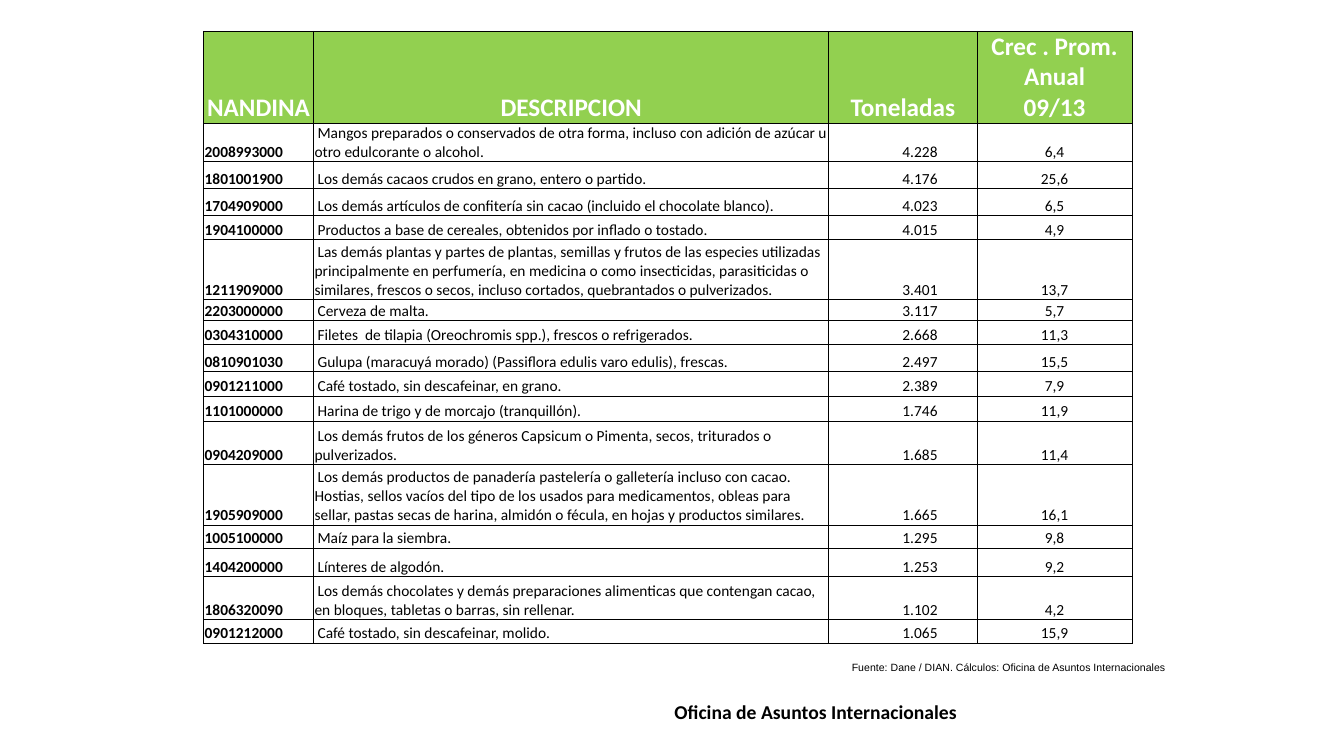
from pptx import Presentation
from pptx.dml.color import RGBColor
from pptx.enum import text
from pptx.oxml import parse_xml
from pptx.oxml import ns
from pptx.util import Inches, Pt

HEX = {"black": "000000", "white": "FFFFFF", "green": "92D050"}
LEFT, CENTER, RIGHT = text.PP_ALIGN.LEFT, text.PP_ALIGN.CENTER, text.PP_ALIGN.RIGHT
COLS = [1.09, 5.11, 1.47, 1.54]
GAP, HEAD = 0.18, 0.91
HEADS = ["NANDINA", "DESCRIPCION", "Toneladas", "Crec . Prom. Anual\n09/13"]
# row height, code, description, tonnes, growth
GOODS = [
    (0.38, "2008993000", "Mangos preparados o conservados de otra forma, incluso con adición "
     "de azúcar u otro edulcorante o alcohol.", "4.228", "6,4"),
    (0.27, "1801001900", "Los demás cacaos crudos en grano, entero o partido.", "4.176", "25,6"),
    (0.27, "1704909000", "Los demás artículos de confitería sin cacao (incluido el chocolate "
     "blanco).", "4.023", "6,5"),
    (0.24, "1904100000", "Productos a base de cereales, obtenidos por inflado o tostado.",
     "4.015", "4,9"),
    (0.59, "1211909000", "Las demás plantas y partes de plantas, semillas y frutos de las "
     "especies utilizadas principalmente en perfumería, en medicina o como insecticidas, "
     "parasiticidas o similares, frescos o secos, incluso cortados, quebrantados o "
     "pulverizados.", "3.401", "13,7"),
    (0.21, "2203000000", "Cerveza de malta.", "3.117", "5,7"),
    (0.24, "0304310000", "Filetes  de tilapia (Oreochromis spp.), frescos o refrigerados.",
     "2.668", "11,3"),
    (0.27, "0810901030", "Gulupa (maracuyá morado) (Passiflora edulis varo edulis), frescas.",
     "2.497", "15,5"),
    (0.24, "0901211000", "Café tostado, sin descafeinar, en grano.", "2.389", "7,9"),
    (0.25, "1101000000", "Harina de trigo y de morcajo (tranquillón).", "1.746", "11,9"),
    (0.43, "0904209000", "Los demás frutos de los géneros Capsicum o Pimenta, secos, "
     "triturados o pulverizados.", "1.685", "11,4"),
    (0.6, "1905909000", "Los demás productos de panadería pastelería o galletería incluso con "
     "cacao. Hostias, sellos vacíos del tipo de los usados para medicamentos, obleas para "
     "sellar, pastas secas de harina, almidón o fécula, en hojas y productos similares.",
     "1.665", "16,1"),
    (0.23, "1005100000", "Maíz para la siembra.", "1.295", "9,8"),
    (0.28, "1404200000", "Línteres de algodón.", "1.253", "9,2"),
    (0.43, "1806320090", "Los demás chocolates y demás preparaciones alimenticas que contengan "
     "cacao, en bloques, tabletas o barras, sin rellenar.", "1.102", "4,2"),
    (0.23, "0901212000", "Café tostado, sin descafeinar, molido.", "1.065", "15,9"),
]


def style(frame, color="black", align=LEFT, **form):
    for par in frame.paragraphs:
        par.alignment = align
        for run in par.runs:
            run.font.color.rgb = RGBColor.from_string(HEX[color])
            for key, value in form.items():
                setattr(run.font, key, value)


def border(cell, shown="LRTB"):
    """Draw the named sides in black and hide the others."""
    for side in "LRTB":
        fill = (f'<a:solidFill><a:srgbClr val="{HEX["black"]}"/></a:solidFill>'
                if side in shown else "<a:noFill/>")
        cell._tc.get_or_add_tcPr().append(parse_xml(
            f'<a:ln{side} {ns.nsdecls("a")} w="{Pt(0.5)}">{fill}</a:ln{side}>'))


def inset(cell, left=0.01, right=0.01, top=0.01):
    sides = {"margin_left": left, "margin_right": right, "margin_top": top, "margin_bottom": 0}
    for key, value in sides.items():
        setattr(cell, key, Inches(value))
    cell.vertical_anchor = text.MSO_ANCHOR.BOTTOM


def add_head(cell, words):
    cell.text = words
    inset(cell, 0, 0, 0)
    border(cell)
    cell.fill.solid()
    cell.fill.fore_color.rgb = RGBColor.from_string(HEX["green"])
    style(cell.text_frame, "white", CENTER, name="Calibri", size=Pt(18), bold=True)


def add_cell(cell, words, align=LEFT, bold=False, right=0.01):
    cell.text = words
    inset(cell, right=right)
    border(cell)
    cell.fill.background()
    style(cell.text_frame, align=align, name="Calibri", size=Pt(11), bold=bold)


def add_gap(grid):
    """Merge the empty top row into one low cell."""
    for cell in grid.rows[0].cells:
        inset(cell, 0, 0, 0)
        border(cell, "B")
        cell.fill.background()
        cell.text_frame.paragraphs[0]._p.get_or_add_endParaRPr().set("sz", "800")
    grid.cell(0, 0).merge(grid.cell(0, len(COLS) - 1))


def add_goods(slide):
    highs = [GAP, HEAD] + [good[0] for good in GOODS]
    grid = slide.shapes.add_table(len(highs), len(COLS), Inches(2.02), Inches(0.13),
                                  Inches(sum(COLS)), Inches(sum(highs))).table
    grid.first_row = grid.horz_banding = False
    for col, wide in zip(grid.columns, COLS):
        col.width = Inches(wide)
    for row, high in zip(grid.rows, highs):
        row.height = Inches(high)
    add_gap(grid)
    for col, words in enumerate(HEADS):
        add_head(grid.cell(1, col), words)
    for row, (_, code, label, tons, growth) in enumerate(GOODS, 2):
        add_cell(grid.cell(row, 0), code, bold=True)
        add_cell(grid.cell(row, 1), label)
        first = grid.cell(row, 1).text_frame.paragraphs[0]
        first._p.get_or_add_pPr().set("indent", str(Inches(0.03)))
        add_cell(grid.cell(row, 2), tons, RIGHT, right=0.39)
        add_cell(grid.cell(row, 3), growth, CENTER)


def add_note(slide, words, spot, wrap, **form):
    frame = slide.shapes.add_textbox(*map(Inches, spot)).text_frame
    frame.text = words
    frame.word_wrap = wrap
    frame.auto_size = text.MSO_AUTO_SIZE.SHAPE_TO_FIT_TEXT
    style(frame, **form)


def main():
    deck = Presentation()
    deck.slide_width, deck.slide_height = Inches(13.33), Inches(7.5)
    slide = deck.slides.add_slide(deck.slide_layouts[6])
    add_note(slide, "Fuente: Dane / DIAN. Cálculos: Oficina de Asuntos Internacionales",
             (8.35, 6.51, 3.31, 0.23), False, name="Arial", size=Pt(7.5))
    add_goods(slide)
    add_note(slide, "Oficina de Asuntos Internacionales", (6.59, 6.89, 3.94, 0.34), True,
             name="Calibri", size=Pt(14), bold=True)
    deck.save("out.pptx")


if __name__ == "__main__":
    main()
